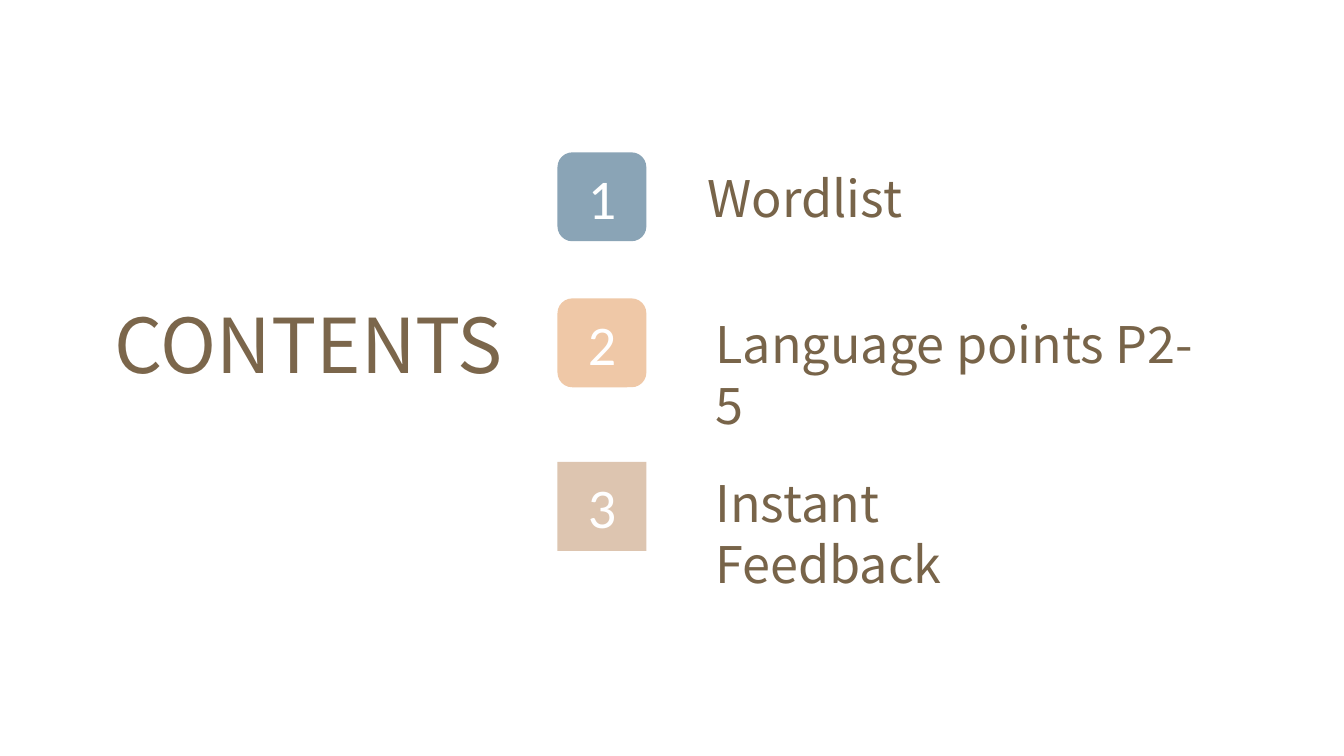
from dataclasses import dataclass

from pptx import Presentation
from pptx.dml.color import RGBColor
from pptx.enum import shapes, text
from pptx.slide import Slide
from pptx.text.text import TextFrame
from pptx.util import Cm, Pt


@dataclass(frozen=True)
class Theme:
    heading: RGBColor = RGBColor(0x7B, 0x66, 0x4B)
    label: RGBColor = RGBColor(0x78, 0x64, 0x49)
    number: RGBColor = RGBColor(0xFF, 0xFF, 0xFF)
    text_font: str = "Noto Sans CJK JP"
    number_font: str = "Calibri"
    heading_size: int = 54
    label_size: int = 36
    number_size: int = 40
    leading: float = 1.21


@dataclass(frozen=True)
class Entry:
    label: str
    fill: str
    top: float
    label_left: float
    label_width: float
    label_drop: float = 0.23
    corner: float = 0.1667


THEME = Theme()
BADGE_LEFT, BADGE_SIDE = 14.05, 2.24
LABEL_HEIGHT = 1.8
ENTRIES = [
    Entry("Wordlist", "8AA4B6", 3.84, 17.58, 8.94),
    Entry("Language points P2-5", "EFC8A7", 7.52, 17.78, 13.21),
    Entry("Instant Feedback", "DDC5B0", 11.64, 17.78, 10.29, 0.12, 0),
]


def write(frame: TextFrame, words: str, font_name: str, size: int,
          color: RGBColor, align: text.PP_ALIGN) -> None:
    frame.text = words
    paragraph = frame.paragraphs[0]
    paragraph.alignment = align
    paragraph.font.name = font_name
    paragraph.font.size = Pt(size)
    paragraph.font.color.rgb = color
    if font_name == THEME.text_font:
        paragraph.line_spacing = Pt(round(size * THEME.leading, 1))


def add_heading(slide: Slide) -> None:
    heading = slide.shapes.title
    heading.left, heading.top = Cm(2.64), Cm(7.37)
    heading.width, heading.height = Cm(10.49), Cm(2.57)
    frame = heading.text_frame
    frame.word_wrap = False
    frame.auto_size = text.MSO_AUTO_SIZE.NONE
    frame.vertical_anchor = text.MSO_ANCHOR.TOP
    write(frame, "CONTENTS", THEME.text_font, THEME.heading_size,
          THEME.heading, text.PP_ALIGN.LEFT)


def add_badge(slide: Slide, number: int, entry: Entry) -> None:
    badge = slide.shapes.add_shape(
        shapes.MSO_SHAPE.ROUNDED_RECTANGLE,
        Cm(BADGE_LEFT), Cm(entry.top), Cm(BADGE_SIDE), Cm(BADGE_SIDE))
    badge.adjustments[0] = entry.corner
    badge.shadow.inherit = False
    badge.fill.solid()
    badge.fill.fore_color.rgb = RGBColor.from_string(entry.fill)
    badge.line.fill.background()
    badge.text_frame.vertical_anchor = text.MSO_ANCHOR.MIDDLE
    write(badge.text_frame, str(number), THEME.number_font,
          THEME.number_size, THEME.number, text.PP_ALIGN.CENTER)


def add_label(slide: Slide, entry: Entry) -> None:
    label = slide.shapes.add_textbox(
        Cm(entry.label_left), Cm(entry.top + entry.label_drop),
        Cm(entry.label_width), Cm(LABEL_HEIGHT))
    label.text_frame.word_wrap = True
    write(label.text_frame, entry.label, THEME.text_font,
          THEME.label_size, THEME.label, text.PP_ALIGN.LEFT)


def main() -> None:
    deck = Presentation()
    deck.slide_width, deck.slide_height = Cm(33.87), Cm(19.05)
    slide = deck.slides.add_slide(deck.slide_layouts.get_by_name("Title Only"))
    add_heading(slide)
    for number, entry in enumerate(ENTRIES, start=1):
        add_badge(slide, number, entry)
        add_label(slide, entry)
    deck.save("out.pptx")


if __name__ == "__main__":
    main()
